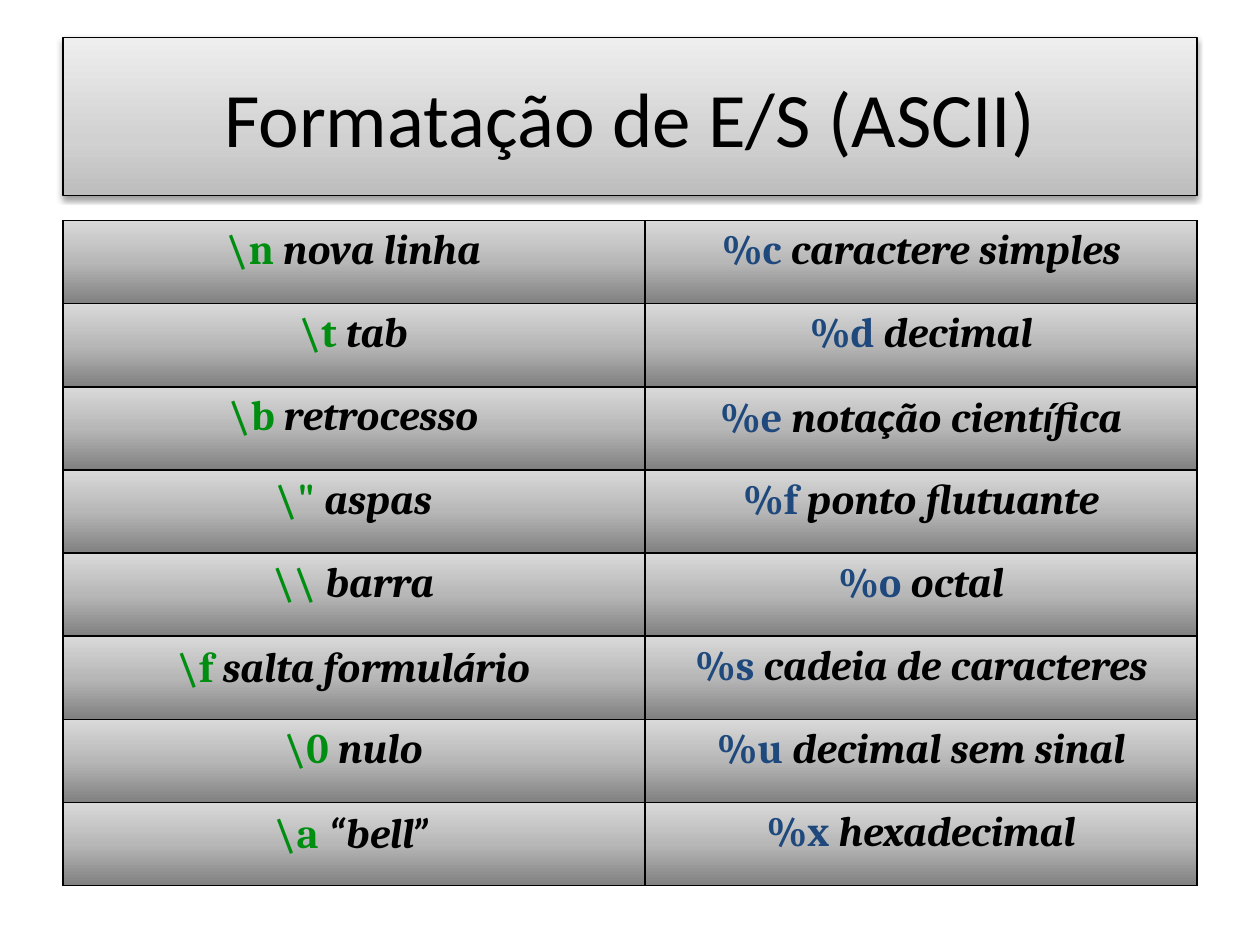
import itertools

import lxml.etree
import pptx
import pptx.dml.color
import pptx.enum.shapes
import pptx.enum.text
import pptx.oxml
import pptx.oxml.ns
import pptx.util
from pptx.util import Inches

TITLE = "Formatação de E/S (ASCII)"
ESCAPES = [
    ("\\n", "nova linha"),
    ("\\t", "tab"),
    ("\\b", "retrocesso"),
    ("\\\"", "aspas"),
    ("\\\\", "barra"),
    ("\\f", "salta formulário"),
    ("\\0", "nulo"),
    ("\\a", "“bell”"),
]
CONVERSIONS = [
    ("%c", "caractere simples"),
    ("%d", "decimal"),
    ("%e", "notação científica"),
    ("%f", "ponto flutuante"),
    ("%o", "octal"),
    ("%s", "cadeia de caracteres"),
    ("%u", "decimal sem sinal"),
    ("%x", "hexadecimal"),
]
THEME = {
    "text": "000000",
    "line": "000000",
    "code_colors": ("008E11", "1F497D"),
    "title_gradient": [(0, "BDBDBD"), (35, "D1D1D1"), (100, "EEEEEE")],
    "cell_gradient": [(0, "808080"), (50, "B7B7B7"), (100, "D9D9D9")],
    "title_font": "Calibri",
    "table_font": "Cambria",
    "title_size": 44,
    "table_size": 24,
}
CALIBRI_CHARACTERS = "çíá“”"
LEFT, WIDTH = 0.5, 9
COLUMN_WIDTHS = (4.62, 4.38)
ROW_HEIGHT = 0.66


def add_child(parent, tag, **attributes):
    child = lxml.etree.SubElement(parent, pptx.oxml.ns.qn(tag))
    for name, value in attributes.items():
        child.set(name, str(value))
    return child


def fill_upward(fill, properties, stops):
    """Fill with a gradient whose first stop is at the bottom."""
    fill.gradient()
    fill.gradient_angle = 90
    stop_list = properties.find(".//" + pptx.oxml.ns.qn("a:gsLst"))
    for stop in list(stop_list):
        stop_list.remove(stop)
    for percent, color in stops:
        stop = add_child(stop_list, "a:gs", pos=percent * 1000)
        add_child(stop, "a:srgbClr", val=color)


def add_run(paragraph, text, font_name, size, color, bold=False, italic=False):
    run = paragraph.add_run()
    run.text = text
    font = run.font
    font.name, font.size = font_name, pptx.util.Pt(size)
    font.bold, font.italic = bold, italic
    font.color.rgb = pptx.dml.color.RGBColor.from_string(color)


def add_title(slide):
    shape = slide.shapes.add_shape(
        pptx.enum.shapes.MSO_SHAPE.RECTANGLE,
        Inches(LEFT), Inches(0.3), Inches(WIDTH), Inches(1.25))
    properties = shape._element.spPr
    fill_upward(shape.fill, properties, THEME["title_gradient"])
    shape.line.color.rgb = pptx.dml.color.RGBColor.from_string(THEME["line"])
    shape.line.width = pptx.util.Pt(0.75)

    shape.shadow.inherit = False
    effects = properties.find(pptx.oxml.ns.qn("a:effectLst"))
    shadow = add_child(effects, "a:outerShdw", blurRad=pptx.util.Pt(3.1),
                       dist=pptx.util.Pt(1.6), dir=90 * 60000, rotWithShape=0)
    shadow_color = add_child(shadow, "a:srgbClr", val="000000")
    add_child(shadow_color, "a:alpha", val=38000)

    shape.text_frame.vertical_anchor = pptx.enum.text.MSO_ANCHOR.MIDDLE
    paragraph = shape.text_frame.paragraphs[0]
    paragraph.alignment = pptx.enum.text.PP_ALIGN.CENTER
    add_run(paragraph, TITLE, THEME["title_font"], THEME["title_size"], THEME["text"])


def add_borders(properties):
    for side in ("a:lnL", "a:lnR", "a:lnT", "a:lnB"):
        border = add_child(properties, side, w=pptx.util.Pt(1))
        add_child(add_child(border, "a:solidFill"), "a:srgbClr", val=THEME["line"])


def write_cell(cell, code, meaning, code_color):
    properties = cell._tc.get_or_add_tcPr()
    add_borders(properties)
    fill_upward(cell.fill, properties, THEME["cell_gradient"])
    paragraph = cell.text_frame.paragraphs[0]
    paragraph.alignment = pptx.enum.text.PP_ALIGN.CENTER
    size = THEME["table_size"]
    add_run(paragraph, code + " ", THEME["table_font"], size, code_color, bold=True)
    pieces = itertools.groupby(meaning, lambda letter: letter in CALIBRI_CHARACTERS)
    for uses_calibri, letters in pieces:
        font_name = THEME["title_font"] if uses_calibri else THEME["table_font"]
        add_run(paragraph, "".join(letters), font_name, size, THEME["text"],
                bold=True, italic=True)


def add_code_table(slide):
    row_count = len(ESCAPES)
    table = slide.shapes.add_table(
        row_count, len(COLUMN_WIDTHS), Inches(LEFT), Inches(1.75),
        Inches(WIDTH), Inches(ROW_HEIGHT * row_count)).table
    table.first_row = table.horz_banding = False
    for row in table.rows:
        row.height = Inches(ROW_HEIGHT)
    for column_index, entries in enumerate((ESCAPES, CONVERSIONS)):
        table.columns[column_index].width = Inches(COLUMN_WIDTHS[column_index])
        for row_index, (code, meaning) in enumerate(entries):
            write_cell(table.cell(row_index, column_index), code, meaning,
                       THEME["code_colors"][column_index])


def main():
    presentation = pptx.Presentation()
    presentation.slide_width, presentation.slide_height = Inches(10), Inches(7.5)
    slide = presentation.slides.add_slide(presentation.slide_layouts[6])
    add_title(slide)
    add_code_table(slide)
    presentation.save("out.pptx")


if __name__ == "__main__":
    main()
